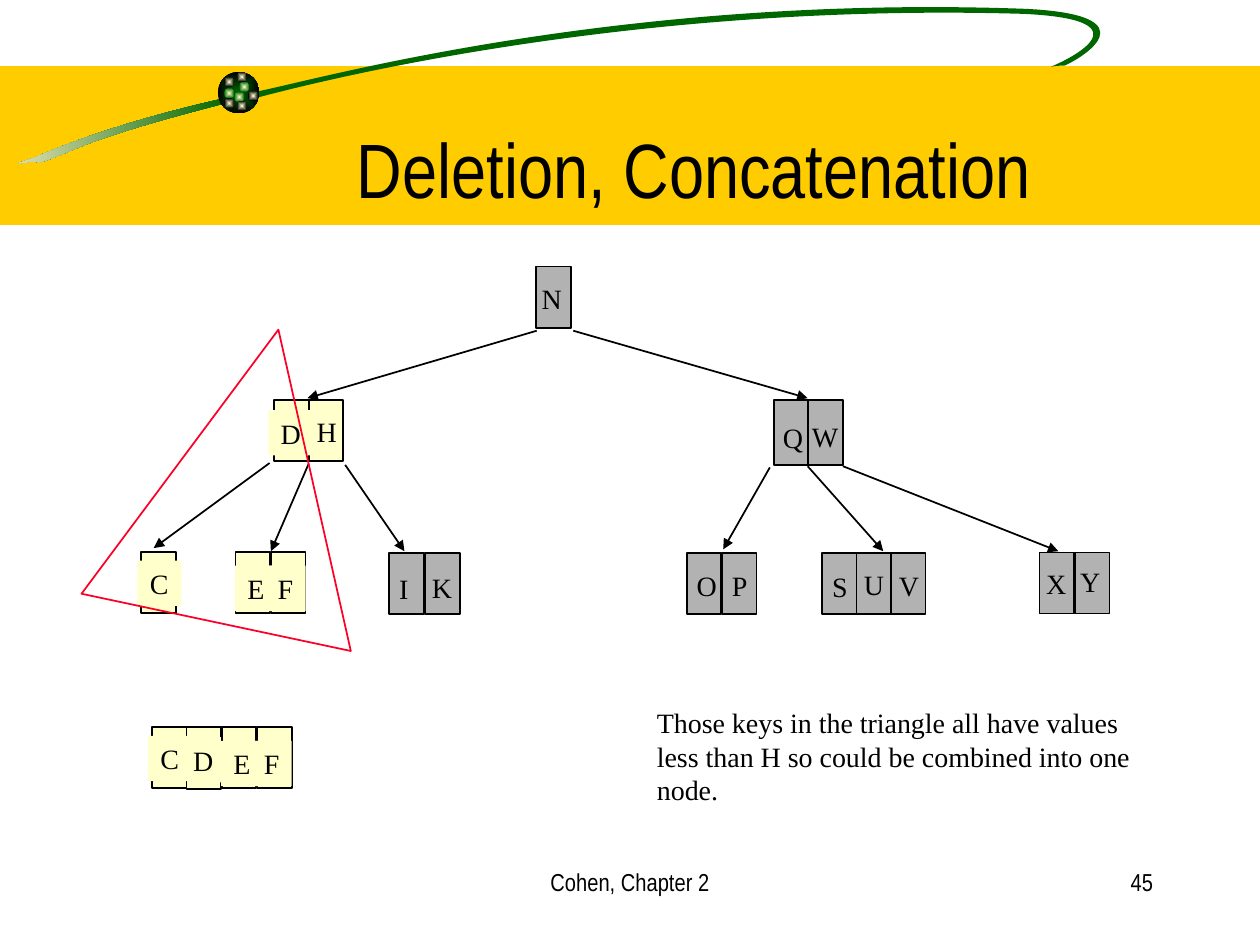
"""Build the slide on deletion and concatenation in a B-tree."""
import math

import lxml.etree
import pptx
import pptx.dml.color
import pptx.enum.shapes
import pptx.enum.text
import pptx.oxml
import pptx.oxml.ns
import pptx.util

SHAPES = pptx.enum.shapes.MSO_SHAPE
ALIGN = pptx.enum.text.PP_ALIGN
ANCHOR = pptx.enum.text.MSO_ANCHOR
tag = pptx.oxml.ns.qn
COLORS = {name: pptx.dml.color.RGBColor.from_string(code) for name, code in {
    "band": "FFCC00", "green": "006600", "cream": "F5EBC1", "glow": "FFFFCC",
    "black": "000000", "gray": "B2B2B2", "yellow": "FFFFCC", "red": "FC0128",
    "white": "FFFFFF",
}.items()}

deck = pptx.Presentation()
deck.slide_width = pptx.util.Inches(10)
deck.slide_height = pptx.util.Inches(7.5)
column = deck.slide_width / 100
row = deck.slide_height / 75
page = deck.slides.add_slide(deck.slide_layouts[5])


def add_box(place, fill=None, line=None, kind=SHAPES.RECTANGLE):
    """Add a preset shape at (left, top, width, height) in grid units."""
    left, top, width, height = place
    box = page.shapes.add_shape(kind, int(left * column), int(top * row),
                                int(width * column), int(height * row))
    box.shadow.inherit = False
    if fill:
        box.fill.solid()
        box.fill.fore_color.rgb = COLORS[fill]
    else:
        box.fill.background()
    if line:
        box.line.color.rgb = COLORS[line]
        box.line.width = pptx.util.Pt(1)
    else:
        box.line.fill.background()
    return box


def write(box, text, size, font, align=ALIGN.LEFT, wrap=True, anchor=ANCHOR.TOP):
    """Put one formatted paragraph into a shape."""
    frame = box.text_frame
    frame.text = text
    frame.word_wrap = wrap
    frame.auto_size = pptx.enum.text.MSO_AUTO_SIZE.NONE
    frame.vertical_anchor = anchor
    para = frame.paragraphs[0]
    para.alignment = align
    para.font.size = pptx.util.Pt(size)
    para.font.name = font
    para.font.color.rgb = COLORS["black"]


add_box((0, 5.25, 100, 12.6), "band")

swooshes = [
    ((-0.3, 9.1, 18.4, 3), ("green", "cream"), (17.8, 7.8),
     [[(9.1, 9.8), (4.9, 11.6), (2.5, 12.6)],
      [(0.1, 13.4), (2.6, 12.6), (3.1, 12.9)],
      [(5.7, 12.2), (5.7, 11.3), (17.9, 8.2)]]),
    ((20.1, -1.5, 71.6, 10.9), ("green",), (20.2, 7.3),
     [[(24.6, 6.5), (48.6, -0.5), (81.4, 0.7)],
      [(91.7, 1.2), (85.7, 4.7), (84.5, 5.2)],
      [(84.5, 5.2), (83.8, 5.2), (83.4, 5.3)],
      [(84.4, 4.9), (91.6, 1.6), (81.3, 1.1)],
      [(54.8, 0.3), (32, 4.7), (20.6, 7.7)]])]
tilt = 8.5
cosine, sine = math.cos(math.radians(tilt)), math.sin(math.radians(tilt))
for (left, top, width, height), fills, start, curves in swooshes:
    builder = page.shapes.build_freeform(*[int(value * column) for value in start])
    builder.add_line_segments(
        [(int(curve[-1][0] * column), int(curve[-1][1] * row)) for curve in curves])
    swoosh = builder.convert_to_shape()
    swoosh.left, swoosh.top = int(left * column), int(top * row)
    swoosh.width, swoosh.height = int(width * column), int(height * row)
    swoosh.rotation = 360 - tilt
    outline = swoosh.element.find(".//" + tag("a:pathLst"))[0]
    outline.set("w", str(swoosh.width))
    outline.set("h", str(swoosh.height))
    for segment in list(outline):
        outline.remove(segment)
    for name, points in [("a:moveTo", [start])] + [("a:cubicBezTo", c) for c in curves]:
        segment = lxml.etree.SubElement(outline, tag(name))
        for x, y in points:
            across, down = x - left - width / 2, y - top - height / 2
            turned_x = across * cosine - down * sine + width / 2
            turned_y = across * sine + down * cosine + height / 2
            lxml.etree.SubElement(segment, tag("a:pt"), x=str(int(turned_x * column)),
                                  y=str(int(turned_y * row)))
    lxml.etree.SubElement(outline, tag("a:close"))
    swoosh.shadow.inherit = False
    swoosh.line.fill.background()
    if len(fills) == 2:
        swoosh.fill.gradient()
        swoosh.fill.gradient_angle = 180
        for stop, name in zip(swoosh.fill.gradient_stops, fills):
            stop.color.rgb = COLORS[name]
    else:
        swoosh.fill.solid()
        swoosh.fill.fore_color.rgb = COLORS[fills[0]]

spots = [(17.3, 5.7, 3.3, "green", "black"),
         (19, 6.5, 0.8, "glow", "green"), (17.8, 6.1, 0.8, "glow", "black"),
         (17.8, 7, 0.8, "glow", "green"), (18.6, 7.3, 0.8, "glow", "green"),
         (19.7, 7.2, 0.8, "glow", "black"), (18.8, 8, 0.8, "glow", "black"),
         (17.8, 7.8, 0.8, "glow", "black"), (18.8, 5.7, 0.8, "glow", "black")]
for left, top, size, center, edge in spots:
    ball = add_box((left, top, size, size), kind=SHAPES.OVAL)
    ball.fill.gradient()
    for stop, name in zip(ball.fill.gradient_stops, (center, edge)):
        stop.color.rgb = COLORS[name]
    linear = ball.element.find(".//" + tag("a:lin"))
    radial = pptx.oxml.parse_xml(
        f'<a:path {pptx.oxml.ns.nsdecls("a")} path="rect">'
        '<a:fillToRect l="50000" t="50000" r="50000" b="50000"/></a:path>')
    linear.getparent().replace(linear, radial)

panel = add_box((7.4, 20.6, 12.2, 54.4), "white")
lxml.etree.SubElement(panel.element.find(".//" + tag("a:srgbClr")),
                      tag("a:alpha"), val="50000")

title = page.shapes.title
title.left, title.top = int(12.6 * column), int(5 * row)
title.width, title.height = int(85 * column), int(12.5 * row)
write(title, "Deletion, Concatenation", 44, "Arial Narrow", ALIGN.CENTER,
      anchor=ANCHOR.BOTTOM)
title.element.getparent().append(title.element)

arrows = [(42.6, 26.25, 24.4, 31.6), (45.5, 26.25, 64.1, 31.6),
          (21.4, 36.75, 12.2, 43.5), (24.5, 36.8, 21.5, 43.75),
          (27.4, 36.9, 32.1, 43.75), (61.1, 37.1, 57.4, 43.6),
          (64.1, 37, 70.1, 43.75), (66.9, 37, 84, 43.75)]
for x1, y1, x2, y2 in arrows:
    arrow = page.shapes.add_connector(
        pptx.enum.shapes.MSO_CONNECTOR.STRAIGHT,
        int(x1 * column), int(y1 * row), int(x2 * column), int(y2 * row))
    arrow.line.color.rgb = COLORS["black"]
    arrow.line.width = pptx.util.Pt(1)
    lxml.etree.SubElement(arrow.element.find(".//" + tag("a:ln")),
                          tag("a:tailEnd"), type="triangle")
    lxml.etree.SubElement(arrow.element.spPr, tag("a:effectLst"))

labels = {"N": (-0.55, 0.7, 3.6), "D": (-0.45, 0.8, 3.6), "H": (-0.35, 0.7, 3.6),
          "Q": (-0.25, 1.15, 3.6), "W": (-0.7, 1.05, 4.1), "C": (-0.3, 0.7, 3.5),
          "E": (-0.05, 1.1, 3.3), "F": (-0.45, 1.1, 3.2), "I": (-0.2, 1, 2.7),
          "K": (-0.45, 0.9, 3.6), "O": (-0.2, 0.75, 3.6), "P": (-0.2, 0.75, 3.2),
          "S": (-0.2, 0.85, 3.2), "U": (-0.4, 0.7, 3.6), "V": (-0.35, 0.75, 3.6),
          "X": (-0.45, 0.6, 3.6), "Y": (-0.55, 0.45, 3.6)}
nodes = [("N", 42.55, 21.15, 2.8, 4.9, "gray"), ("QW", 61.4, 31.75, 2.75, 5.15, "gray"),
         ("DH", 21.75, 31.75, 2.75, 4.85, "yellow"), ("C", 11.2, 43.8, 2.8, 4.85, "yellow"),
         ("EF", 18.7, 43.8, 2.8, 4.85, "yellow"), ("IK", 30.9, 43.87, 2.85, 4.85, "gray"),
         ("OP", 54.5, 43.87, 2.8, 4.85, "gray"), ("SUV", 65.25, 43.87, 2.73, 4.85, "gray"),
         ("XY", 82.5, 43.85, 2.8, 4.85, "gray"), ("D", 14.8, 57.7, 2.8, 4.9, "yellow"),
         ("C", 12.05, 57.7, 2.8, 4.85, "yellow"), ("EF", 17.6, 57.7, 2.8, 4.85, "yellow")]
for keys, left, top, pitch, height, fill in nodes:
    for index in range(len(keys)):
        add_box((left + index * pitch, top, 2.75, height), fill, "black")
    for index, key in enumerate(keys):
        shift, drop, width = labels[key]
        label = add_box((left + index * pitch + shift, top + drop, width, 3.6),
                        fill if key in "CDEF" else None)
        write(label, key, 16, "Times New Roman", wrap=False)

triangle = add_box((8.7, 25.9, 21.85, 23.75), None, "red", SHAPES.ISOSCELES_TRIANGLE)
triangle.rotation = 12

captions = [
    ((51.15, 55.5, 40.3, 9), 16, "Times New Roman", ALIGN.LEFT,
     "Those keys in the triangle all have values less than H "
     "so could be combined into one node."),
    ((34.15, 68.3, 31.7, 5), 14, "Arial Narrow", ALIGN.CENTER, "Cohen, Chapter 2"),
    ((71.7, 68.3, 20.8, 5), 14, "Arial Narrow", ALIGN.RIGHT, "45")]
for (left, top, width, height), size, font, align, text in captions:
    caption = page.shapes.add_textbox(int(left * column), int(top * row),
                                      int(width * column), int(height * row))
    write(caption, text, size, font, align)

deck.save("out.pptx")
